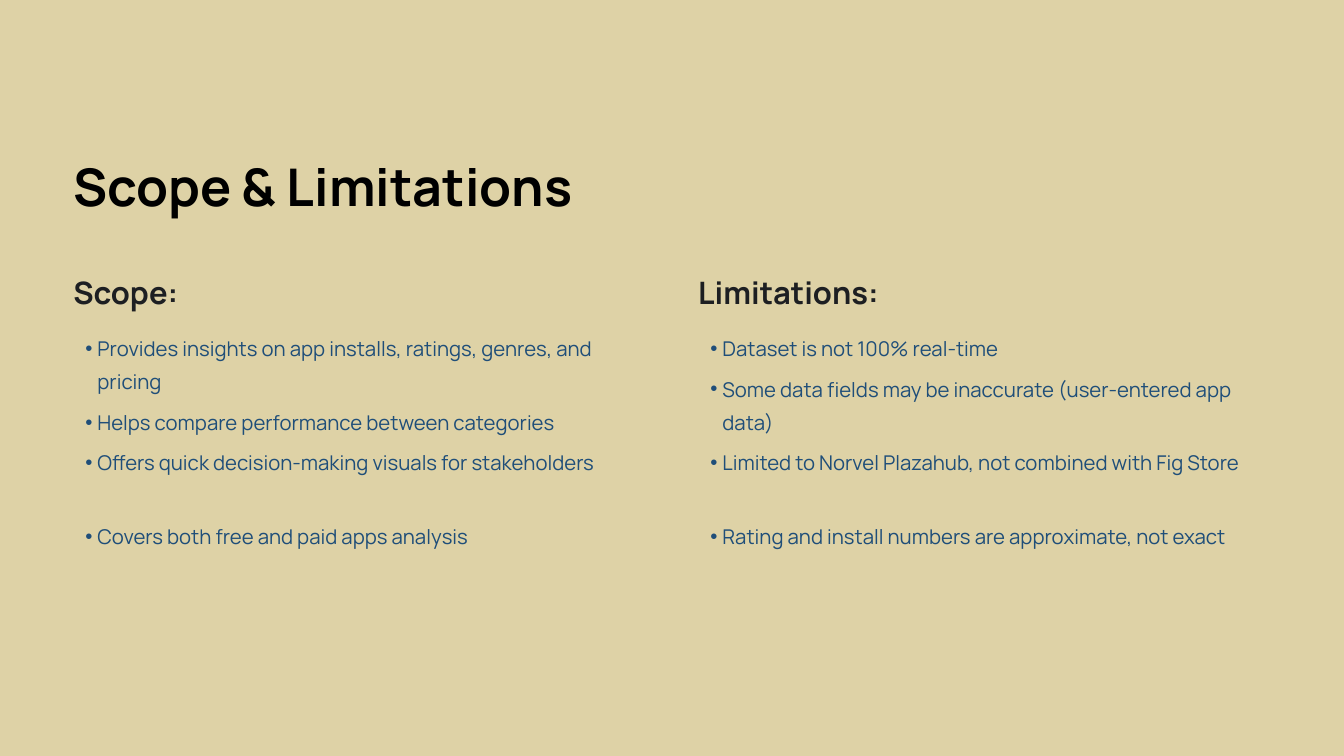
from lxml import etree
from pptx import Presentation
from pptx.dml.color import RGBColor
from pptx.enum.shapes import MSO_SHAPE
from pptx.enum.text import MSO_ANCHOR, MSO_AUTO_SIZE, PP_ALIGN
from pptx.oxml.ns import qn
from pptx.util import Inches, Pt

RECTANGLE = MSO_SHAPE.RECTANGLE
TOP, LEFT, NO_FIT = MSO_ANCHOR.TOP, PP_ALIGN.LEFT, MSO_AUTO_SIZE.NONE
COMPARISON_LAYOUT = 4
FONT, BULLET_FONT = "Manrope", "Arial"
SAND, BLACK, CHARCOAL, NAVY = "DED2A6", "000000", "1D1F22", "1F4E79"

# Content
TITLE = "Scope & Limitations"
COLUMNS = [
    ("Scope:", [
        "Provides insights on app installs, ratings, genres, and pricing",
        "Helps compare performance between categories",
        "Offers quick decision-making visuals for stakeholders",
        "Covers both free and paid apps analysis",
    ]),
    ("Limitations:", [
        "Dataset is not 100% real-time",
        "Some data fields may be inaccurate (user-entered app data)",
        "Limited to Norvel Plazahub, not combined with Fig Store",
        "Rating and install numbers are approximate, not exact",
    ]),
]

# Layout
MARGIN, COLUMN_PITCH = 1.09, 9.3
LIST_LINE, LIST_GAP = 35.6, 7.9
# The last item stands one line further down
LIST_GAPS = [0, LIST_GAP, LIST_GAP, LIST_GAP + LIST_LINE]


def rgb(color):
    return RGBColor.from_string(color)


def add_backdrop(slide, width, height):
    backdrop = slide.shapes.add_shape(RECTANGLE, 0, 0, width, height)
    backdrop.shadow.inherit = False
    backdrop.fill.solid()
    backdrop.fill.fore_color.rgb = rgb(SAND)
    backdrop.line.fill.background()
    # Behind the placeholders
    slide.shapes._spTree.insert(2, backdrop._element)


def add_bullet(paragraph):
    properties = paragraph._p.get_or_add_pPr()
    properties.set("marL", str(Inches(0.36)))
    properties.set("indent", str(Inches(-0.18)))
    etree.SubElement(properties, qn("a:buFont"), typeface=BULLET_FONT)
    etree.SubElement(properties, qn("a:buChar"), char="•")


def write(holder, texts, at, *, size, line, color, bold=False, gaps=(0,), bullets=False):
    holder.left, holder.top, holder.width, holder.height = map(Inches, at)
    frame = holder.text_frame
    frame.margin_left = frame.margin_top = frame.margin_right = frame.margin_bottom = 0
    frame.vertical_anchor, frame.auto_size, frame.word_wrap = TOP, NO_FIT, True
    frame.text = "\n".join(texts)
    for paragraph, gap in zip(frame.paragraphs, gaps):
        if bullets:
            add_bullet(paragraph)
        paragraph.alignment = LEFT
        paragraph.line_spacing = Pt(line)
        paragraph.space_before, paragraph.space_after = Pt(gap), Pt(0)
        for run in paragraph.runs:
            run.font.name, run.font.size, run.font.bold = FONT, Pt(size), bold
            run.font.color.rgb = rgb(color)


def main():
    deck = Presentation()
    deck.slide_width, deck.slide_height = Inches(20), Inches(11.25)
    slide = deck.slides.add_slide(deck.slide_layouts[COMPARISON_LAYOUT])
    bodies = list(slide.placeholders)[1:]
    add_backdrop(slide, deck.slide_width, deck.slide_height)

    # Title
    write(slide.shapes.title, [TITLE], (MARGIN, 2.27, 7.87, 1.05),
          size=55.6, line=69.4, color=BLACK, bold=True)

    # Two columns: heading and list
    for index, (heading, items) in enumerate(COLUMNS):
        left = MARGIN + index * COLUMN_PITCH
        heading_body, list_body = bodies[2 * index:2 * index + 2]
        write(heading_body, [heading], (left, 4.05, 4.65, 0.63),
              size=33.1, line=41.2, color=CHARCOAL, bold=True)
        write(list_body, items, (left, 4.87, 8.54, 3.92),
              size=21.8, line=LIST_LINE, color=NAVY, gaps=LIST_GAPS, bullets=True)

    deck.save("out.pptx")


if __name__ == "__main__":
    main()
